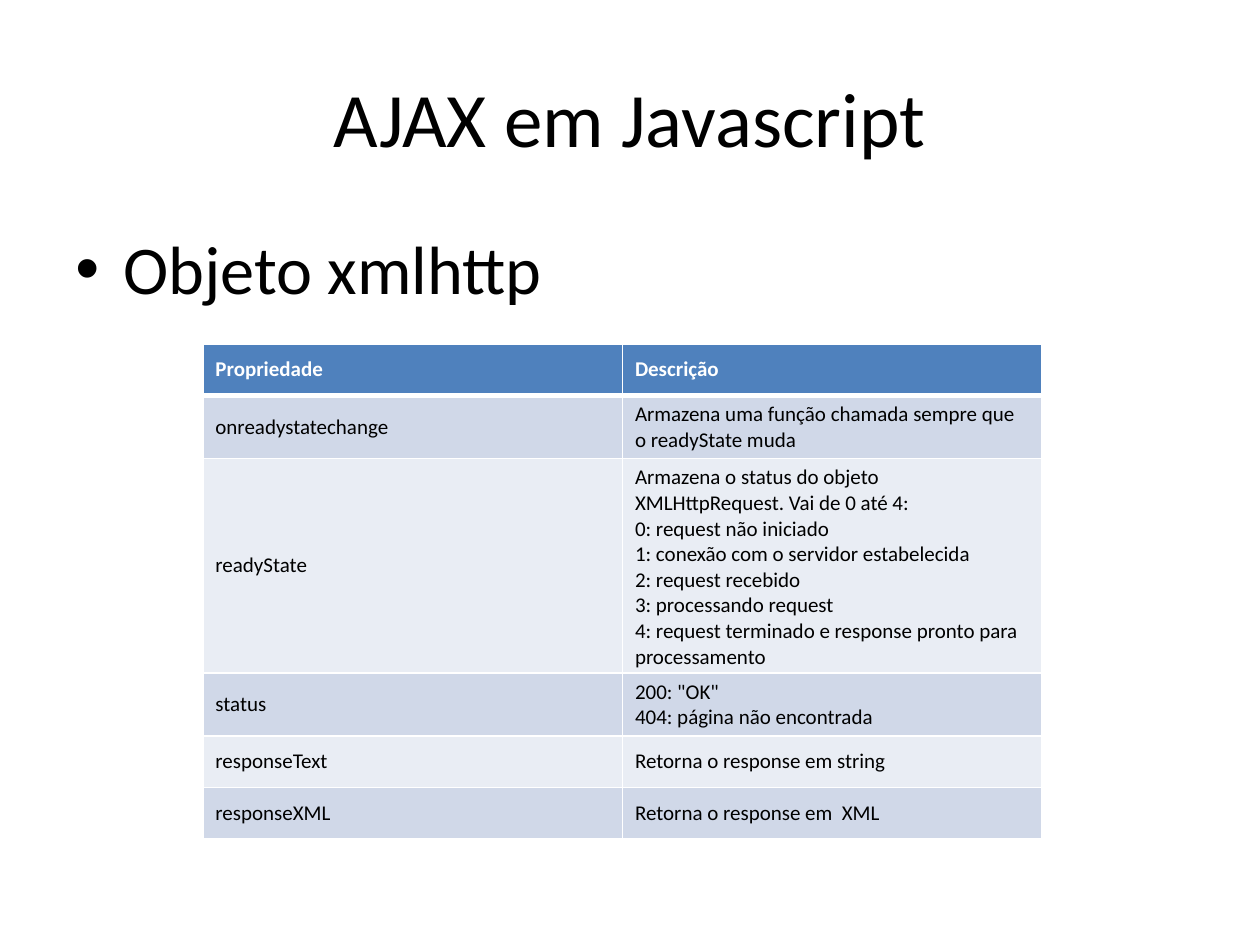
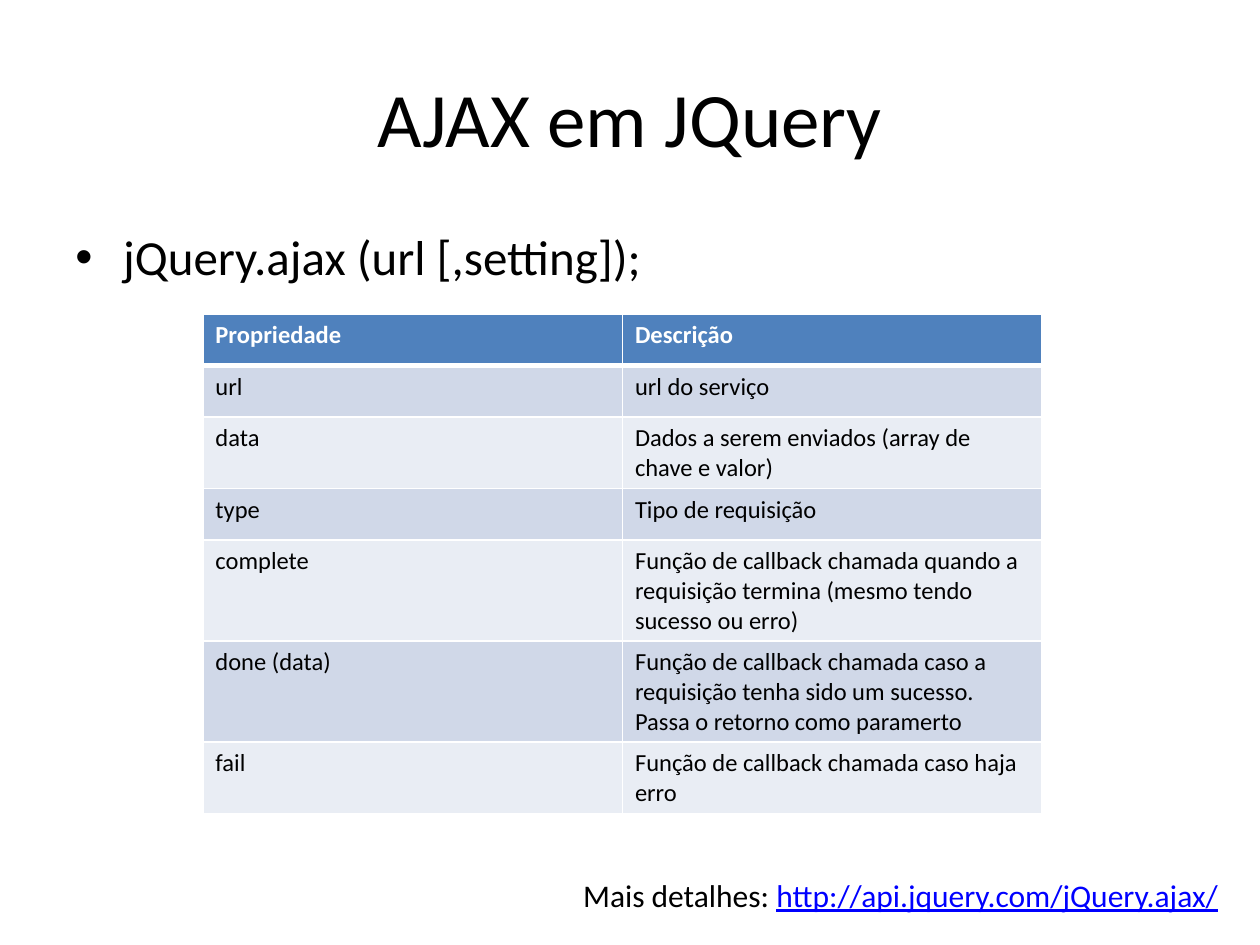
from lxml import etree
from pptx import Presentation, util as u
from pptx.dml.color import RGBColor
from pptx.enum import text
from pptx.oxml.ns import qn

# Content
HEADER = ("Propriedade", "Descrição")
SLIDES = [
    dict(
        title="AJAX em Javascript", bullet="Objeto xmlhttp", bullet_size=39,
        table_top=2.73, cell_size=12, anchor=text.MSO_ANCHOR.MIDDLE,
        rows=[
            ("onreadystatechange",
             "Armazena uma função chamada sempre que o readyState muda"),
            ("readyState",
             "Armazena o status do objeto XMLHttpRequest. Vai de 0 até 4:\v"
             "0: request não iniciado\v"
             "1: conexão com o servidor estabelecida\v"
             "2: request recebido\v"
             "3: processando request\v"
             "4: request terminado e response pronto para processamento"),
            ("status", '200: "OK"\v404: página não encontrada'),
            ("responseText", "Retorna o response em string"),
            ("responseXML", "Retorna o response em  XML"),
        ]),
    dict(
        title="AJAX em JQuery", bullet="jQuery.ajax (url [,setting]);", bullet_size=28,
        table_top=2.49, cell_size=14, anchor=text.MSO_ANCHOR.TOP,
        rows=[
            ("url", "url do serviço"),
            ("data", "Dados a serem enviados (array de chave e valor)"),
            ("type", "Tipo de requisição"),
            ("complete", "Função de callback chamada quando a requisição "
                         "termina (mesmo tendo sucesso ou erro)"),
            ("done (data)", "Função de callback chamada caso a requisição tenha "
                            "sido um sucesso. Passa o retorno como paramerto"),
            ("fail", "Função de callback chamada caso haja erro"),
        ],
        more=("Mais detalhes: ", "http://api.jquery.com/jQuery.ajax/")),
]

# Shared style
FONT = "Calibri"
COLORS = dict(text="000000", white="FFFFFF", header="4F81BD",
              odd="D0D8E8", even="E9EDF4", link="0000FF")
COL_W, ROW_H = 3.33, 0.41


def box(*lengths):
    return [u.Inches(n) for n in lengths]


def style(paragraph, size, color="text", bold=False):
    for r in paragraph.runs:
        r.font.name, r.font.size, r.font.bold = FONT, u.Pt(size), bold
        r.font.color.rgb = RGBColor.from_string(COLORS[color])


def add_title(s, title):
    sp = s.shapes.title
    sp.left, sp.top, sp.width, sp.height = box(0.5, 0.3, 9, 1.25)
    tf = sp.text_frame
    tf.text = title
    tf.vertical_anchor = text.MSO_ANCHOR.MIDDLE
    p = tf.paragraphs[0]
    p.alignment = text.PP_ALIGN.CENTER
    style(p, 44)


def add_bullet(s, line, size):
    tf = s.shapes.add_textbox(*box(0.5, 1.75, 9, 4.95)).text_frame
    tf.word_wrap = True
    tf.text = line
    p = tf.paragraphs[0]
    style(p, size)
    # Hanging bullet with proportional space before
    pPr = p._p.get_or_add_pPr()
    indent = u.Inches(0.38)
    pPr.set("marL", str(indent))
    pPr.set("indent", str(-indent))
    before = etree.SubElement(pPr, qn("a:spcBef"))
    etree.SubElement(before, qn("a:spcPct"), val="20000")
    etree.SubElement(pPr, qn("a:buFont"), typeface="Arial")
    etree.SubElement(pPr, qn("a:buChar"), char="•")


def set_borders(cell, widths):
    tcPr = cell._tc.get_or_add_tcPr()
    for side, width in widths.items():
        ln = etree.SubElement(tcPr, qn("a:ln" + side), w=str(u.Pt(width)))
        fill = etree.SubElement(ln, qn("a:solidFill"))
        etree.SubElement(fill, qn("a:srgbClr"), val=COLORS["white"])


def add_property_table(s, top, rows, size, anchor):
    rows = [HEADER] + rows
    table = s.shapes.add_table(
        len(rows), 2, *box(1.61, top, 2 * COL_W, ROW_H * len(rows))).table
    for col in table.columns:
        col.width = u.Inches(COL_W)
    for i, row in enumerate(rows):
        table.rows[i].height = u.Inches(ROW_H)
        fill = "header" if i == 0 else "odd" if i % 2 else "even"
        for j, value in enumerate(row):
            cell = table.cell(i, j)
            cell.text_frame.text = value
            cell.vertical_anchor = anchor
            style(cell.text_frame.paragraphs[0], size,
                  "text" if i else "white", bold=i == 0)
            # The rule under the header is thicker
            set_borders(cell, dict(L=1, R=1, T=3 if i == 1 else 1,
                                   B=3 if i == 0 else 1))
            cell.fill.solid()
            cell.fill.fore_color.rgb = RGBColor.from_string(COLORS[fill])


def add_more(s, label, address):
    tf = s.shapes.add_textbox(*box(4.53, 6.9, 5.3, 0.71)).text_frame
    tf.word_wrap = False
    tf.auto_size = text.MSO_AUTO_SIZE.SHAPE_TO_FIT_TEXT
    p = tf.paragraphs[0]
    p.text = label
    r = p.add_run()
    r.text = address
    style(p, 18)
    r.font.underline = True
    r.font.color.rgb = RGBColor.from_string(COLORS["link"])


# Build
prs = Presentation()
prs.slide_width, prs.slide_height = box(10, 7.5)
for item in SLIDES:
    s = prs.slides.add_slide(prs.slide_layouts[5])
    add_title(s, item["title"])
    add_bullet(s, item["bullet"], item["bullet_size"])
    add_property_table(s, item["table_top"], item["rows"],
                       item["cell_size"], item["anchor"])
    if "more" in item:
        add_more(s, *item["more"])
prs.save("out.pptx")
